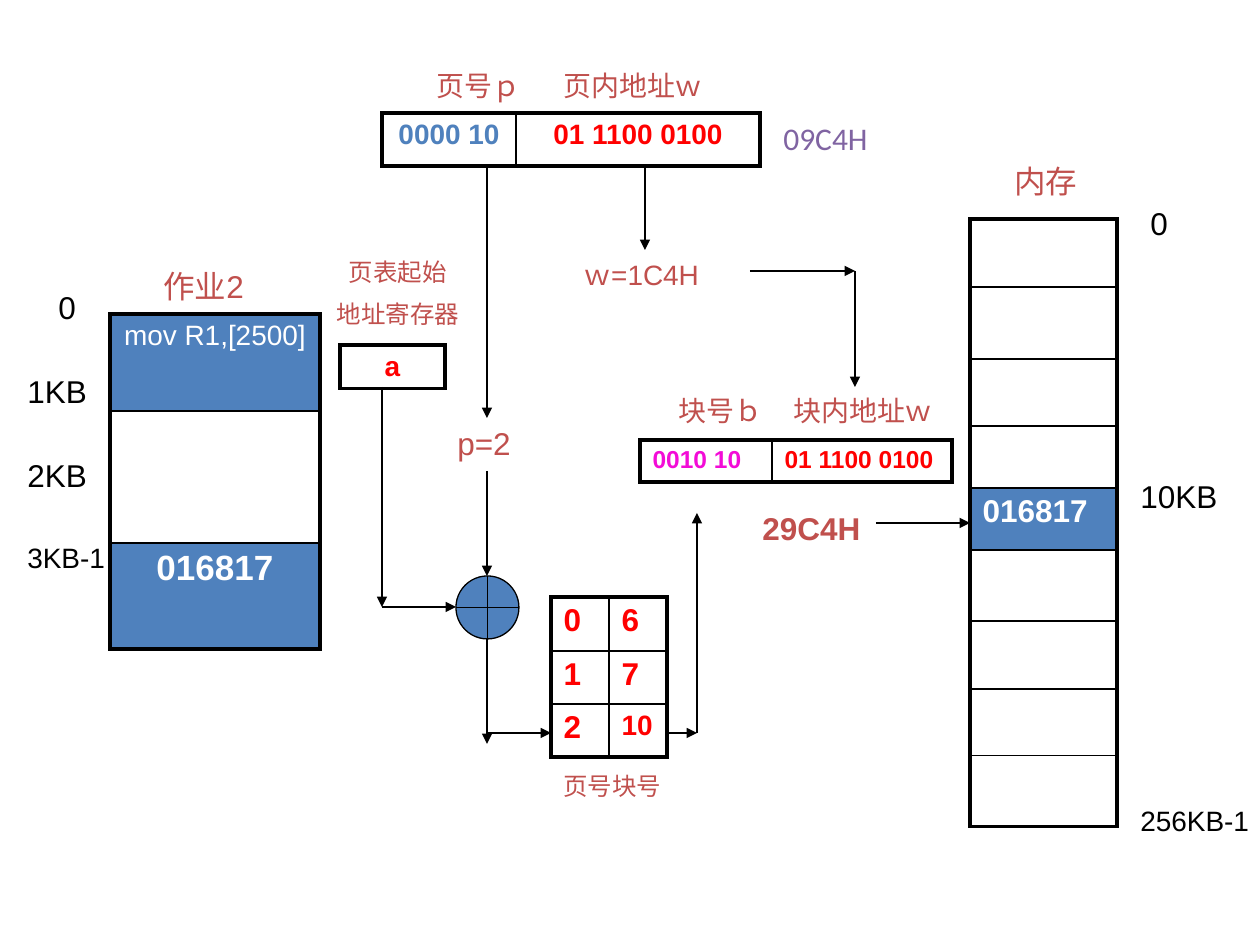
from lxml import etree
from pptx import Presentation
from pptx.dml.color import RGBColor
from pptx.enum.shapes import MSO_CONNECTOR, MSO_SHAPE
from pptx.enum.text import MSO_AUTO_SIZE, PP_ALIGN
from pptx.oxml.ns import qn
from pptx.util import Pt

PX = 914400 // 126
LEFT, CENTER = PP_ALIGN.LEFT, PP_ALIGN.CENTER
STRAIGHT, ADDER = MSO_CONNECTOR.STRAIGHT, MSO_SHAPE.FLOWCHART_OR
GROW = MSO_AUTO_SIZE.SHAPE_TO_FIT_TEXT
BLACK, WHITE, RED, BRICK = "000000", "FFFFFF", "FF0000", "C0504D"
BLUE, PINK, PURPLE = "4F81BD", "F30BD7", "8064A2"

# left, top, column widths, row heights, alignment, {(row, column): (text, size, color, bold, fill)}
TABLES = [
    (382, 113, [134, 244], [53], CENTER, {
        (0, 0): ("0000 10", 16, BLUE, True, None),
        (0, 1): ("01 1100 0100", 16, RED, True, None)}),
    (110, 314, [210], [97, 132, 106], CENTER, {
        (0, 0): ("mov R1,[2500]", 16, WHITE, False, BLUE),
        (2, 0): ("016817", 20, WHITE, True, BLUE)}),
    (340, 345, [105], [43], CENTER, {(0, 0): ("a", 16, RED, True, None)}),
    (551, 597, [58, 58], [54, 53, 53], LEFT, {
        (0, 0): ("0", 18, RED, True, None), (0, 1): ("6", 18, RED, True, None),
        (1, 0): ("1", 18, RED, True, None), (1, 1): ("7", 18, RED, True, None),
        (2, 0): ("2", 18, RED, True, None), (2, 1): ("10", 16, RED, True, None)}),
    (970, 219, [147], [68, 72, 67, 62, 62, 71, 68, 67, 71], LEFT, {
        (4, 0): ("016817", 18, WHITE, True, BLUE)}),
    (640, 440, [132, 180], [42], LEFT, {
        (0, 0): ("0010 10", 14, PINK, True, None),
        (0, 1): ("01 1100 0100", 14, RED, True, None)}),
]

# text, left, top, width, height, format
LABELS = [
    ("页表起始\n地址寄存器", 319, 251, 158, 86, dict(size=14, align=CENTER)),
    ("页号ｐ", 424, 62, 116, 47, dict(size=16)),
    ("页内地址ｗ", 551, 62, 210, 47, dict(size=16)),
    ("块号ｂ", 666, 387, 136, 47, dict(size=16)),
    ("块内地址ｗ", 781, 387, 179, 47, dict(size=16)),
    ("页号块号", 551, 765, 210, 42, dict(size=14)),
    ("ｗ=1C4H", 571, 251, 163, 47, dict(size=16)),
    ("内存", 1002, 156, 105, 50, {}),
    ("p=2", 445, 418, 95, 50, {}),
    ("作业2", 151, 261, 126, 50, {}),
    ("29C4H", 750, 503, 126, 50, dict(bold=True)),
    ("09C4H", 771, 113, 136, 50, dict(color=PURPLE, font="Calibri")),
    ("256KB-1", 1128, 797, 148, 47, dict(size=16, color=BLACK)),
    ("10KB", 1128, 471, 116, 50, dict(color=BLACK)),
    ("0", 1138, 198, 43, 50, dict(color=BLACK)),
    ("0", 46, 282, 53, 50, dict(color=BLACK)),
    ("1KB", 15, 366, 105, 50, dict(color=BLACK)),
    ("2KB", 15, 450, 116, 50, dict(color=BLACK)),
    ("3KB-1", 15, 534, 105, 47, dict(size=16, color=BLACK)),
]

# x1, y1, x2, y2
ARROWS = [
    (645, 166, 645, 250), (750, 271, 855, 271), (855, 271, 855, 387),
    (666, 733, 697, 733), (697, 733, 697, 513),
    (487, 733, 551, 733), (487, 639, 487, 744),
    (487, 166, 487, 418), (487, 471, 487, 576),
    (382, 387, 382, 607), (382, 607, 456, 607), (876, 523, 970, 523),
]


def px(*values):
    return [value * PX for value in values]


def rgb(color):
    return RGBColor.from_string(color)


def write(frame, text, size=18, color=BRICK, bold=False, font="Arial", align=LEFT):
    frame.text = text
    for index, paragraph in enumerate(frame.paragraphs):
        paragraph.alignment = align
        if index:
            paragraph.space_before = Pt(size / 2)
        for run in paragraph.runs:
            run.font.size, run.font.bold, run.font.name = Pt(size), bold, font
            run.font.color.rgb = rgb(color)


def add_border(cell, side, width):
    edge = etree.SubElement(cell._tc.get_or_add_tcPr(), qn("a:ln" + side), w=str(Pt(width)))
    paint = etree.SubElement(edge, qn("a:solidFill"))
    etree.SubElement(paint, qn("a:srgbClr"), val=BLACK)


def add_grid(slide, left, top, widths, heights, align, contents):
    grid = slide.shapes.add_table(len(heights), len(widths),
                                  *px(left, top, sum(widths), sum(heights))).table
    grid.first_row = grid.horz_banding = False
    for column, width in zip(grid.columns, widths):
        column.width = width * PX
    for row, height in zip(grid.rows, heights):
        row.height = height * PX
    for r in range(len(heights)):
        for c in range(len(widths)):
            cell = grid.cell(r, c)
            outer = {"L": c == 0, "R": c == len(widths) - 1,
                     "T": r == 0, "B": r == len(heights) - 1}
            for side, is_outer in outer.items():
                add_border(cell, side, 2.25 if is_outer else 1)
            text, size, color, bold, fill = contents.get((r, c), ("", 18, BLACK, False, None))
            if fill:
                cell.fill.solid()
                cell.fill.fore_color.rgb = rgb(fill)
            else:
                cell.fill.background()
            write(cell.text_frame, text, size=size, color=color, bold=bold, align=align)


def add_label(slide, text, left, top, width, height, style):
    frame = slide.shapes.add_textbox(*px(left, top, width, height)).text_frame
    frame.word_wrap = True
    frame.auto_size = GROW
    write(frame, text, **style)


def add_arrow(slide, *ends):
    arrow = slide.shapes.add_connector(STRAIGHT, *px(*ends))
    arrow.line.color.rgb = rgb(BLACK)
    arrow.line.width = Pt(0.75)
    etree.SubElement(arrow.line._get_or_add_ln(), qn("a:tailEnd"), type="triangle")
    etree.SubElement(arrow._element.spPr, qn("a:effectLst"))


def add_adder(slide, left, top, size):
    adder = slide.shapes.add_shape(ADDER, *px(left, top, size, size))
    adder.shadow.inherit = False
    adder.fill.solid()
    adder.fill.fore_color.rgb = rgb(BLUE)
    adder.line.color.rgb = rgb(BLACK)
    adder.line.width = Pt(0.75)


def main():
    deck = Presentation()
    deck.slide_width, deck.slide_height = px(1260, 945)
    slide = deck.slides.add_slide(deck.slide_layouts[6])
    for table in TABLES:
        add_grid(slide, *table)
    for label in LABELS:
        add_label(slide, *label)
    add_adder(slide, 456, 576, 63)
    for arrow in ARROWS:
        add_arrow(slide, *arrow)
    deck.save("out.pptx")


if __name__ == "__main__":
    main()
